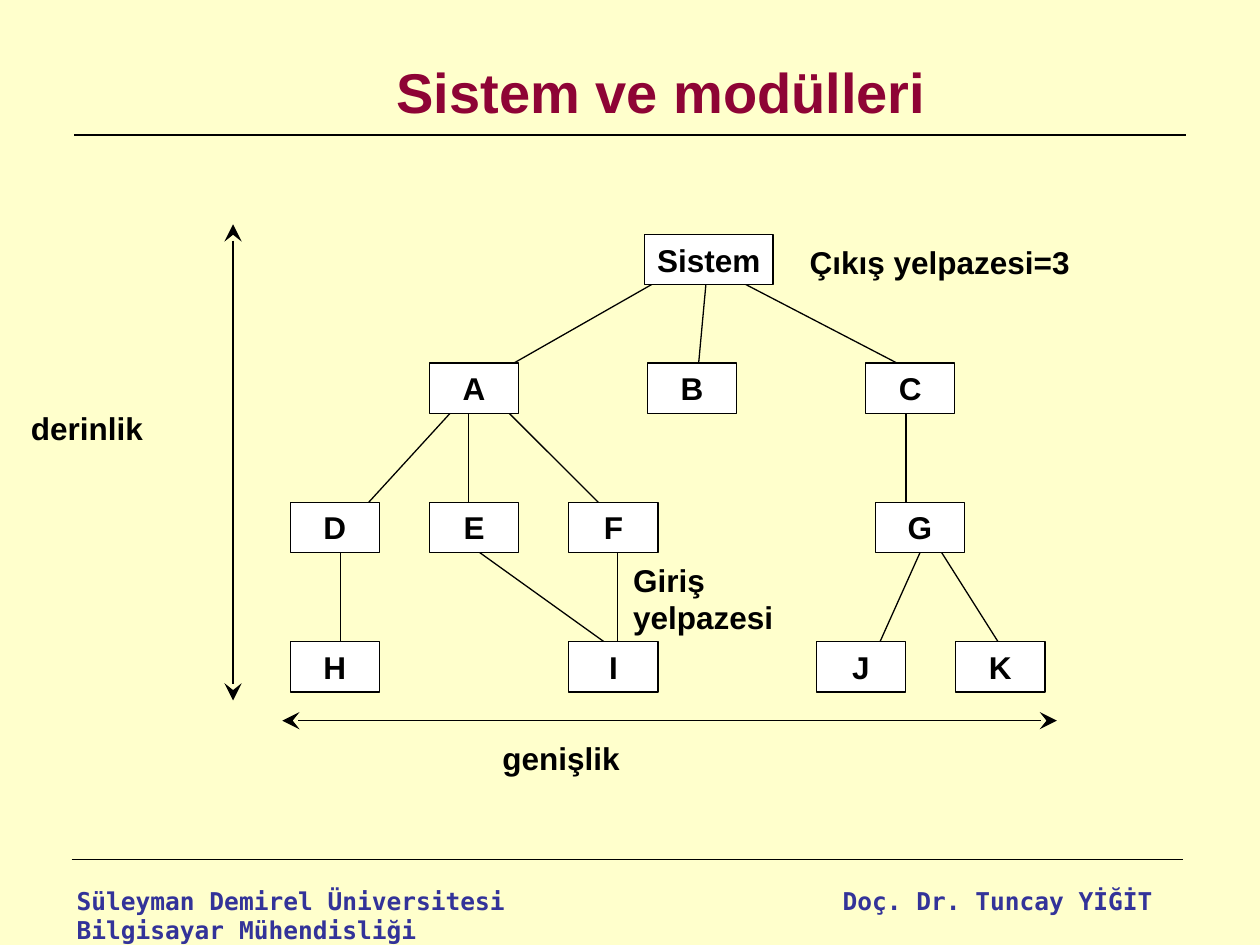
from lxml.etree import SubElement
from pptx import Presentation
from pptx.dml.color import RGBColor
from pptx.enum.shapes import MSO_CONNECTOR, MSO_SHAPE
from pptx.enum.text import MSO_ANCHOR, PP_ALIGN
from pptx.oxml.ns import qn
from pptx.util import Pt

CREAM = RGBColor(0xFF, 0xFF, 0xCC)
WHITE = RGBColor(0xFF, 0xFF, 0xFF)
BLACK = RGBColor(0, 0, 0)
WINE = RGBColor(0x8E, 0x04, 0x35)
NAVY = RGBColor(0x33, 0x33, 0x99)
MONO = "DejaVu Sans Mono"
WIDTH, HEIGHT = 51, 28.8
TOP, LEFT, STEP, SPAN = 207.4, 165.8, 79.6, 124.6

NODES = [
    ("A", LEFT + STEP, 0), ("B", LEFT + STEP + SPAN, 0),
    ("C", LEFT + STEP + 2 * SPAN, 0),
    ("D", LEFT, 1), ("E", LEFT + STEP, 1), ("F", LEFT + 2 * STEP, 1),
    ("G", 500.2, 1),
    ("H", LEFT, 2), ("I", LEFT + 2 * STEP, 2),
    ("J", 466.5, 2), ("K", 466.5 + STEP, 2),
]
LINKS = [
    (392.4, 151.2, 273.6, 218.9), (403.9, 157, 398.2, 218.9),
    (415.4, 157, 523.4, 213.1),
    (267.8, 224.6, 205.9, 292.3), (267.8, 224.6, 267.8, 298),
    (279.4, 224.6, 352.8, 298), (517.7, 230.4, 517.7, 298),
    (528.5, 309.6, 500.4, 372.2), (534.2, 309.6, 573.8, 372.2),
    (194.4, 315.4, 194.4, 378), (273.6, 315.4, 352.8, 372.2),
    (352.8, 309.6, 352.8, 372.2),
]
LABELS = [
    ("Çıkış yelpazesi=3", 455.6, 135.6, 163, HEIGHT),
    ("genişlik", 280, 419, 81.5, HEIGHT),
    ("Giriş\nyelpazesi", 354.7, 316.8, 94.5, 50.4),
    ("derinlik", 10.6, 230.2, 78.5, HEIGHT),
]


def write(frame, text, size=18, font="Arial", color=BLACK,
          align=PP_ALIGN.LEFT, anchor=MSO_ANCHOR.TOP, wrap=True):
    """Fill a text frame with bold text, one paragraph a line."""
    frame.word_wrap = wrap
    frame.vertical_anchor = anchor
    frame.text = text
    for para in frame.paragraphs:
        para.alignment = align
        para.font.size = Pt(size)
        para.font.name = font
        para.font.bold = True
        para.font.color.rgb = color


class Deck:
    """Hold the line style and the current slide."""

    def __init__(self, slide, ink=BLACK, fill=WHITE, weight=0.75):
        self.slide, self.ink, self.fill, self.weight = slide, ink, fill, weight

    def line(self, *ends, arrows=False):
        """Draw a straight line, with arrows at both ends if asked."""
        line = self.slide.shapes.add_connector(
            MSO_CONNECTOR.STRAIGHT, *(Pt(end) for end in ends))
        line.line.color.rgb = self.ink
        line.line.width = Pt(self.weight)
        props = line._element.spPr
        if arrows:
            for tag in ("a:headEnd", "a:tailEnd"):
                SubElement(props.find(qn("a:ln")), qn(tag),
                           type="stealth", w="lg", len="lg")
        SubElement(props, qn("a:effectLst"))

    def label(self, text, *area, **style):
        """Place free text."""
        box = self.slide.shapes.add_textbox(*(Pt(side) for side in area))
        write(box.text_frame, text, **style)

    def node(self, text, *area, **style):
        """Place a module box."""
        box = self.slide.shapes.add_shape(
            MSO_SHAPE.RECTANGLE, *(Pt(side) for side in area))
        box.shadow.inherit = False
        box.fill.solid()
        box.fill.fore_color.rgb = self.fill
        box.line.color.rgb = self.ink
        box.line.width = Pt(self.weight)
        write(box.text_frame, text, **style)


def main():
    """Build the slide of the system and its modules."""
    show = Presentation()
    show.slide_width, show.slide_height = Pt(720), Pt(540)
    slide = show.slides.add_slide(show.slide_layouts[6])
    slide.background.fill.solid()
    slide.background.fill.fore_color.rgb = CREAM
    deck = Deck(slide)

    deck.line(42.5, 77.2, 677.5, 77.2)
    deck.line(41, 491, 676, 491)
    foot = {"size": 14, "font": MONO, "color": NAVY}
    deck.label("Süleyman Demirel Üniversitesi Bilgisayar Mühendisliği",
               36.7, 502.6, 306, 41, **foot)
    deck.label("Doç. Dr. Tuncay YİĞİT", 450.7, 502.6, 215.3, 24.5,
               align=PP_ALIGN.RIGHT, **foot)
    deck.label("Sistem ve modülleri", 72, 21.6, 612, 61.2, size=32,
               color=WINE, align=PP_ALIGN.CENTER, anchor=MSO_ANCHOR.MIDDLE)

    for link in LINKS:
        deck.line(*link)
    deck.node("Sistem", 368.4, 134, 73.4, HEIGHT, wrap=False)
    for name, left, row in NODES:
        deck.node(name, left, TOP + row * STEP, WIDTH, HEIGHT,
                  align=PP_ALIGN.CENTER)
    for text, *area in LABELS:
        deck.label(text, *area, wrap=False)

    deck.line(161.3, 411.8, 604, 411.8, arrows=True)
    deck.line(133.2, 128.2, 133.2, 400.3, arrows=True)
    show.save("out.pptx")


if __name__ == "__main__":
    main()
